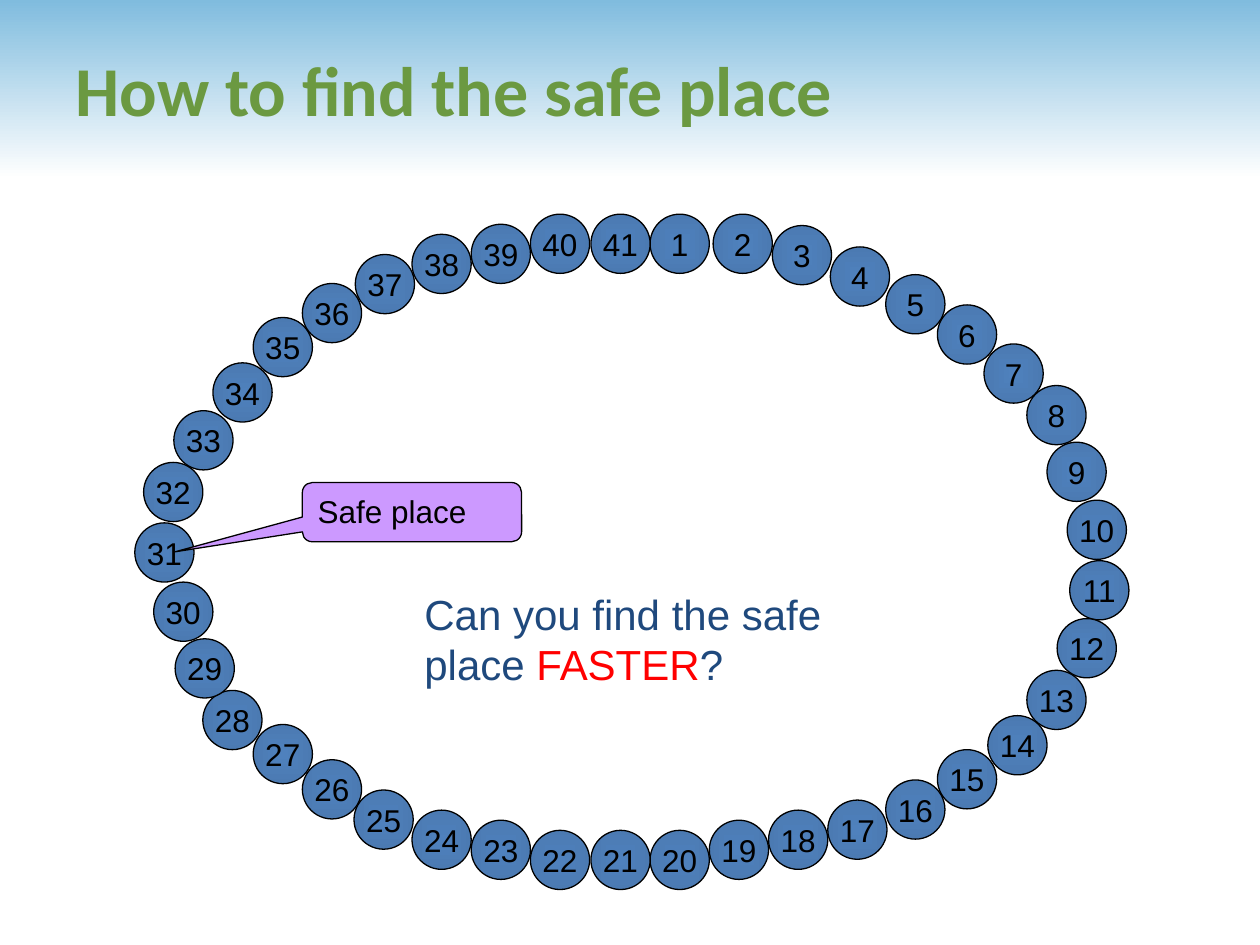
from lxml import etree
from pptx import Presentation, util as u
from pptx.dml.color import RGBColor
from pptx.enum import shapes, text
from pptx.oxml.ns import qn

SKY = RGBColor(0x80, 0xBC, 0xDE)
WHITE = RGBColor(0xFF, 0xFF, 0xFF)
BLACK = RGBColor(0, 0, 0)
GREEN = RGBColor(0x6B, 0x99, 0x41)
BLUE = RGBColor(0x4F, 0x81, 0xBD)
BLUE_EDGE = RGBColor(0x4B, 0x7A, 0xB2)
LILAC = RGBColor(0xCC, 0x99, 0xFF)
NAVY = RGBColor(0x1F, 0x49, 0x7D)
RED = RGBColor(0xFF, 0, 0)

SEAT_SIZE = 0.47
# Left and top of each seat, clockwise from number 1
SEATS = [
    (5.16, 1.70), (5.66, 1.70), (6.13, 1.79), (6.59, 1.96), (7.03, 2.18),
    (7.44, 2.42), (7.81, 2.73), (8.15, 3.06), (8.31, 3.51), (8.47, 3.97),
    (8.49, 4.45), (8.39, 4.91), (8.15, 5.32), (7.84, 5.68), (7.44, 5.95),
    (7.03, 6.19), (6.57, 6.35), (6.10, 6.43), (5.63, 6.51), (5.16, 6.59),
    (4.69, 6.59), (4.21, 6.59), (3.74, 6.51), (3.27, 6.43), (2.81, 6.27),
    (2.40, 6.03), (2.01, 5.75), (1.61, 5.48), (1.39, 5.07), (1.22, 4.62),
    (1.07, 4.15), (1.14, 3.67), (1.38, 3.26), (1.69, 2.88), (2.01, 2.52),
    (2.40, 2.25), (2.82, 2.02), (3.27, 1.86), (3.74, 1.78), (4.21, 1.70),
    (4.69, 1.70),
]


def inches(*lengths):
    return [u.Inches(length) for length in lengths]


def set_font(font, name, size, color):
    font.name, font.size = name, u.Pt(size)
    font.color.rgb = color


def set_gradient(shape, start, end):
    shape.fill.gradient()
    for stop, color in zip(shape.fill.gradient_stops, (start, end)):
        stop.color.rgb = color


def make_radial(shape):
    gradient = shape._element.spPr.find(qn("a:gradFill"))
    gradient.remove(gradient.find(qn("a:lin")))
    center = etree.SubElement(gradient, qn("a:path"), {"path": "shape"})
    etree.SubElement(center, qn("a:fillToRect"), {side: "50000" for side in "ltrb"})


def add_outlined(slide, kind, box, label, align):
    shape = slide.shapes.add_shape(kind, *inches(*box))
    shape.shadow.inherit = False
    shape.line.color.rgb = BLACK
    shape.line.width = u.Pt(0.75)
    paragraph = shape.text_frame.paragraphs[0]
    paragraph.text = label
    paragraph.alignment = align
    set_font(paragraph.font, "Arial", 18, BLACK)
    return shape


def add_band(slide, width):
    band = slide.shapes.add_shape(
        shapes.MSO_SHAPE.PENTAGON, 0, 0, width, u.Inches(1.42))
    band.adjustments[0] = 0
    band.shadow.inherit = False
    band.line.fill.background()
    set_gradient(band, SKY, WHITE)
    band.fill.gradient_angle = 270
    # Send the band behind the title
    slide.shapes._spTree.insert(2, band._element)


def add_title(slide, wording):
    title = slide.shapes.title
    title.left, title.top, title.width, title.height = inches(0.5, 0.08, 9.08, 1.25)
    title.text_frame.vertical_anchor = text.MSO_ANCHOR.MIDDLE
    paragraph = title.text_frame.paragraphs[0]
    paragraph.text = wording
    paragraph.alignment = text.PP_ALIGN.LEFT
    set_font(paragraph.font, "Calibri", 40, GREEN)
    paragraph.font.bold = True


def add_seat(slide, number, left, top):
    seat = add_outlined(slide, shapes.MSO_SHAPE.OVAL,
                        (left, top, SEAT_SIZE, SEAT_SIZE),
                        str(number), text.PP_ALIGN.CENTER)
    set_gradient(seat, BLUE, BLUE_EDGE)
    make_radial(seat)
    seat.text_frame.word_wrap = False
    seat.text_frame.vertical_anchor = text.MSO_ANCHOR.MIDDLE


def add_callout(slide):
    callout = add_outlined(slide, shapes.MSO_SHAPE.ROUNDED_RECTANGULAR_CALLOUT,
                           (2.4, 3.83, 1.74, SEAT_SIZE),
                           "Safe place", text.PP_ALIGN.LEFT)
    callout.fill.solid()
    callout.fill.fore_color.rgb = LILAC
    callout.adjustments[0] = -1.08
    callout.adjustments[1] = 0.67
    callout.text_frame.vertical_anchor = text.MSO_ANCHOR.TOP


def add_question(slide):
    frame = slide.shapes.add_textbox(*inches(3.27, 4.62, 3.37, 0.91)).text_frame
    frame.word_wrap = True
    frame.auto_size = text.MSO_AUTO_SIZE.SHAPE_TO_FIT_TEXT
    question = frame.paragraphs[0]
    set_font(question.font, "Arial", 24, NAVY)
    for wording, color in (("Can you find the safe place ", NAVY),
                           ("FASTER", RED), ("?", NAVY)):
        run = question.add_run()
        run.text = wording
        run.font.color.rgb = color


def main():
    deck = Presentation()
    deck.slide_width, deck.slide_height = inches(10, 7.5)
    slide = deck.slides.add_slide(deck.slide_layouts[5])

    # Heading
    add_band(slide, deck.slide_width)
    add_title(slide, "How to find the safe place")

    # Ring of numbered seats
    for number, (left, top) in enumerate(SEATS, start=1):
        add_seat(slide, number, left, top)

    # Safe seat and question
    add_callout(slide)
    add_question(slide)
    deck.save("out.pptx")


if __name__ == "__main__":
    main()
